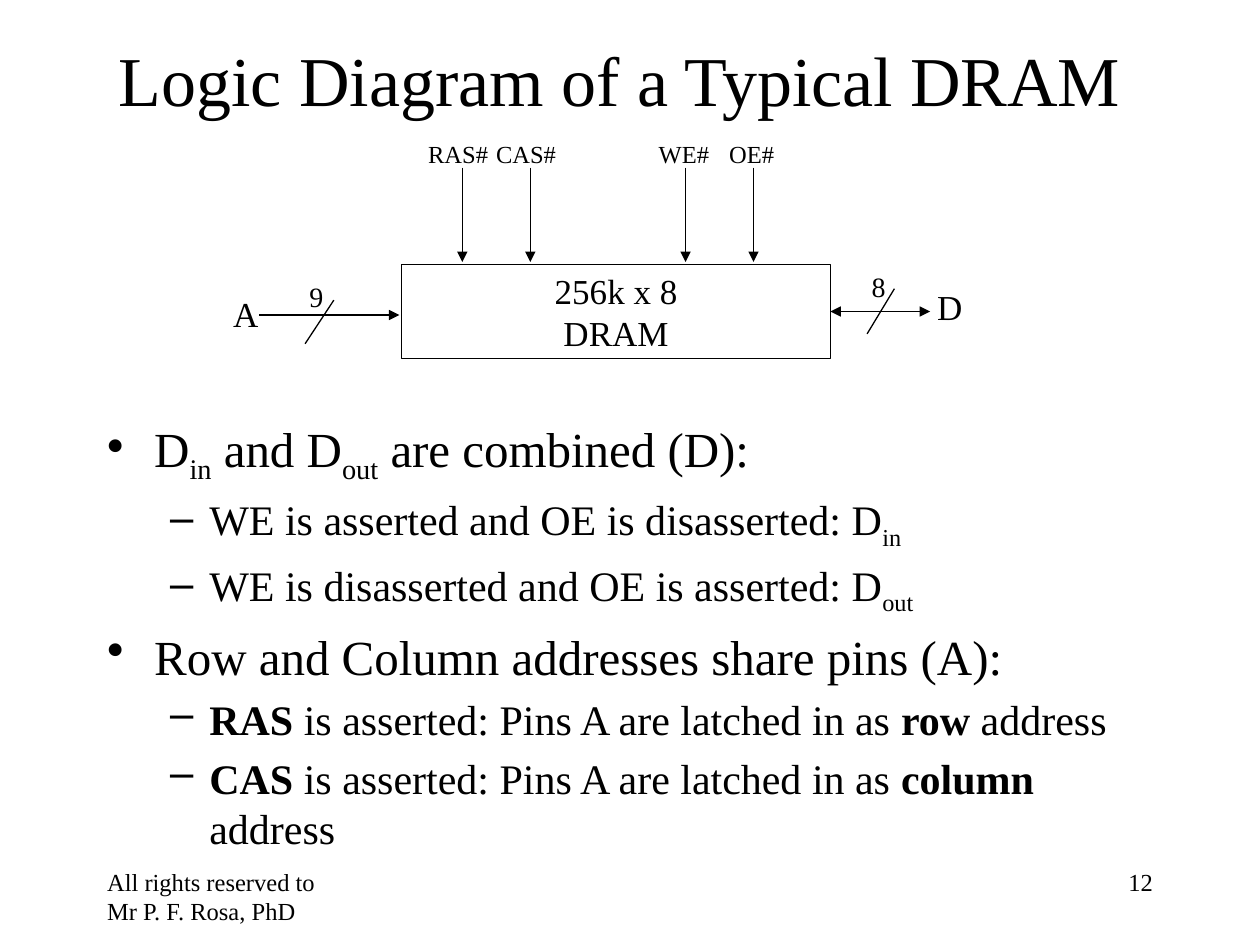
from dataclasses import dataclass

from lxml.etree import SubElement as Sub
from pptx import Presentation
from pptx.dml.color import RGBColor
from pptx.enum.shapes import MSO_CONNECTOR as Link, MSO_SHAPE as Form
from pptx.enum.text import MSO_ANCHOR as Anchor, PP_ALIGN as Align
from pptx.oxml.ns import qn
from pptx.util import Cm, Pt

BLACK = RGBColor(0, 0, 0)
WHITE = RGBColor(255, 255, 255)
FACE = "Times New Roman"


@dataclass
class Label:
    text: str
    left: float
    top: float
    width: float
    height: float
    size: int
    align: Align = Align.LEFT
    anchor: Anchor = Anchor.TOP
    wrap: bool = False


@dataclass
class Wire:
    start: tuple[float, float]
    end: tuple[float, float]
    head: bool = False
    tail: bool = False


@dataclass
class Signal:
    name: str
    x: float
    left: float
    width: float


@dataclass
class Level:
    mark: str
    size: int
    margin: float
    indent: float


@dataclass
class Item:
    level: int
    runs: list[tuple[str, str]]  # style: "" plain, "b" bold, "s" subscript


# Content, lengths in cm
LABELS = [
    Label("All rights reserved to Mr P. F. Rosa, PhD", 1.91, 17.35, 5.28, 1.27, 14, wrap=True),
    Label("12", 18.21, 17.35, 5.28, 1.27, 14, Align.RIGHT, wrap=True),
    Label("Logic Diagram of a Typical DRAM", 1.7, 0, 21.59, 3.18, 40,
          Align.CENTER, Anchor.MIDDLE, True),
    Label("A", 4.45, 5.77, 1.02, 1.09, 20),
    Label("9", 5.99, 5.51, 0.79, 0.94, 16),
    Label("8", 17.32, 5.31, 0.79, 0.94, 16),
    Label("D", 18.64, 5.64, 1.02, 1.09, 20),
]
SIGNALS = [
    Signal("RAS#", 9.32, 8.38, 1.73),
    Signal("CAS#", 10.69, 9.75, 1.73),
    Signal("WE#", 13.82, 13.03, 1.52),
    Signal("OE#", 15.19, 14.45, 1.42),
]
WIRES = [
    Wire((5.23, 6.35), (8.05, 6.35), tail=True),
    Wire((6.73, 6.05), (6.15, 6.93)),
    Wire((18.03, 5.82), (17.48, 6.73)),
]
LEVELS = [Level("•", 28, 0.95, -0.95), Level("–", 24, 2.06, -0.79)]
ITEMS = [
    Item(0, [("D", ""), ("in", "s"), (" and D", ""), ("out", "s"), (" are combined (D):", "")]),
    Item(1, [("WE is asserted and OE is disasserted: D", ""), ("in", "s")]),
    Item(1, [("WE is disasserted and OE is asserted: D", ""), ("out", "s")]),
    Item(0, [("Row and Column addresses share pins (A):", "")]),
    Item(1, [("RAS", "b"), (" is asserted: Pins A are latched in as ", ""),
             ("row", "b"), (" address", "")]),
    Item(1, [("CAS", "b"), (" is asserted: Pins A are latched in as ", ""),
             ("column", "b"), (" address", "")]),
]


def set_font(para, size: int) -> None:
    font = para.font
    font.name, font.size = FACE, Pt(size)
    font.color.rgb = BLACK


def add_label(slide, label: Label) -> None:
    box = slide.shapes.add_textbox(
        Cm(label.left), Cm(label.top), Cm(label.width), Cm(label.height))
    frame = box.text_frame
    frame.word_wrap = label.wrap
    frame.vertical_anchor = label.anchor
    para = frame.paragraphs[0]
    para.text, para.alignment = label.text, label.align
    set_font(para, label.size)


def add_wire(slide, wire: Wire):
    line = slide.shapes.add_connector(Link.STRAIGHT, *map(Cm, wire.start + wire.end))
    line.line.color.rgb = BLACK
    line.line.width = Pt(0.75)
    props = line.line._get_or_add_ln()
    for tag, shown in (("a:headEnd", wire.head), ("a:tailEnd", wire.tail)):
        if shown:
            Sub(props, qn(tag), type="triangle")
    Sub(line._element.spPr, qn("a:effectLst"))
    return line


def add_chip(slide):
    chip = slide.shapes.add_shape(Form.RECTANGLE, Cm(8.1), Cm(5.33), Cm(8.64), Cm(1.9))
    chip.shadow.inherit = False
    chip.fill.solid()
    chip.fill.fore_color.rgb = WHITE
    chip.line.color.rgb = BLACK
    chip.line.width = Pt(0.75)
    frame = chip.text_frame
    frame.word_wrap = False
    frame.vertical_anchor = Anchor.MIDDLE
    frame.text = "256k x 8\nDRAM"
    for para in frame.paragraphs:
        para.alignment = Align.CENTER
        set_font(para, 20)
    return chip


def add_list(slide, items: list[Item]) -> None:
    frame = slide.shapes.add_textbox(Cm(1.91), Cm(8.31), Cm(21.59), Cm(8.64)).text_frame
    frame.word_wrap = True
    for i, item in enumerate(items):
        para = frame.add_paragraph() if i else frame.paragraphs[0]
        level = LEVELS[item.level]
        para.level = item.level
        # Bullet, indent and spacing relative to the text size
        props = para._p.get_or_add_pPr()
        props.set("marL", str(Cm(level.margin)))
        props.set("indent", str(Cm(level.indent)))
        Sub(Sub(props, qn("a:spcBef")), qn("a:spcPct"), val="20000")
        Sub(props, qn("a:buChar"), char=level.mark)
        set_font(para, level.size)
        for text, style in item.runs:
            run = para.add_run()
            run.text = text
            if style == "b":
                run.font.bold = True
            elif style == "s":
                run._r.get_or_add_rPr().set("baseline", "-25000")


def main() -> None:
    deck = Presentation()
    deck.slide_width, deck.slide_height = Cm(25.4), Cm(19.05)
    slide = deck.slides.add_slide(deck.slide_layouts[6])

    # Chip and data bus
    chip = add_chip(slide)
    bus = add_wire(slide, Wire((16.74, 6.28), (18.75, 6.28), head=True, tail=True))
    bus.begin_connect(chip, 3)

    # Control signals
    for sig in SIGNALS:
        add_wire(slide, Wire((sig.x, 3.38), (sig.x, 5.28), tail=True))
        add_label(slide, Label(sig.name, sig.left, 2.67, sig.width, 0.84, 14))

    # Address line, bus slashes and labels
    for wire in WIRES:
        add_wire(slide, wire)
    for label in LABELS:
        add_label(slide, label)

    # Explanation
    add_list(slide, ITEMS)
    deck.save("out.pptx")


if __name__ == "__main__":
    main()
